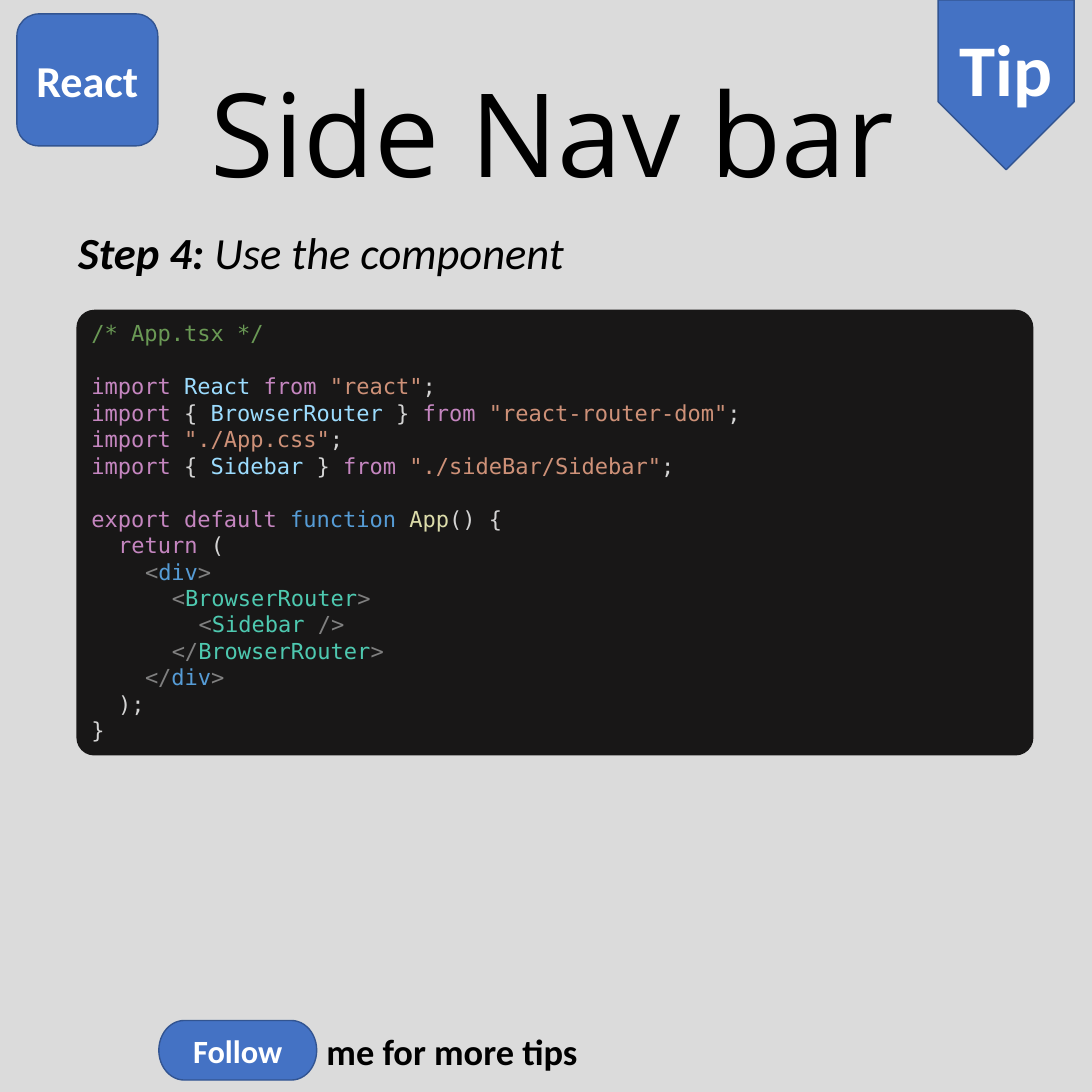
from dataclasses import dataclass
from typing import NamedTuple

from pptx import Presentation
from pptx.dml.color import RGBColor
from pptx.enum.shapes import MSO_SHAPE
from pptx.enum.text import MSO_ANCHOR, MSO_AUTO_SIZE, PP_ALIGN
from pptx.util import Emu, Pt

PX = 9144  # 100 px to the inch
SLIDE_SIDE = 1100
TITLE_ONLY = 5
LEFT, CENTER = PP_ALIGN.LEFT, PP_ALIGN.CENTER
TOP, MIDDLE = MSO_ANCHOR.TOP, MSO_ANCHOR.MIDDLE
NO_FIT = MSO_AUTO_SIZE.NONE
ROUNDED = MSO_SHAPE.ROUNDED_RECTANGLE
PENTAGON = MSO_SHAPE.PENTAGON
TERMINATOR = MSO_SHAPE.FLOWCHART_TERMINATOR

BACKGROUND = RGBColor(0xDB, 0xDB, 0xDB)
BLACK = RGBColor(0, 0, 0)
WHITE = RGBColor(0xFF, 0xFF, 0xFF)
BLUE = RGBColor(0x44, 0x72, 0xC4)
BLUE_EDGE = RGBColor(0x32, 0x54, 0x91)
PANEL = RGBColor(0x18, 0x17, 0x17)

COMMENT = RGBColor(0x6A, 0x99, 0x55)
PLAIN = RGBColor(0xD4, 0xD4, 0xD4)
KEYWORD = RGBColor(0xC5, 0x86, 0xC0)
NAME = RGBColor(0x9C, 0xDC, 0xFE)
STRING = RGBColor(0xCE, 0x91, 0x78)
STORAGE = RGBColor(0x56, 0x9C, 0xD6)
FUNCTION = RGBColor(0xDC, 0xDC, 0xAA)
BRACKET = RGBColor(0x80, 0x80, 0x80)
COMPONENT = RGBColor(0x4E, 0xC9, 0xB0)

CODE_FORMAT = {"name": "DejaVu Sans Mono", "size": Pt(16)}
CODE_LINE = Pt(19.2)
CODE_INDENT = 27


class Box(NamedTuple):
    left: int
    top: int
    width: int
    height: int

    def emu(self) -> list[Emu]:
        return [Emu(v * PX) for v in self]


@dataclass
class Badge:
    text: str
    shape: MSO_SHAPE
    box: Box
    size: float
    rotation: int = 0


class Token(NamedTuple):
    text: str
    color: RGBColor


@dataclass
class CodeLine:
    tokens: list[Token]
    level: int = 0
    gap_before: bool = False


def import_line(names: list[Token], source: str, gap_before: bool = False) -> CodeLine:
    start = [Token("import ", KEYWORD)]
    middle = names + [Token("from ", KEYWORD)] if names else []
    return CodeLine(start + middle + [Token(source, STRING), Token(";", PLAIN)],
                    gap_before=gap_before)


def braced(name: str) -> list[Token]:
    return [Token("{ ", PLAIN), Token(name, NAME), Token(" } ", PLAIN)]


def tag_line(level: int, name: str, color: RGBColor,
             start: str = "<", end: str = ">") -> CodeLine:
    return CodeLine([Token(start, BRACKET), Token(name, color), Token(end, BRACKET)], level)


BADGES = [
    Badge("Tip", PENTAGON, Box(928, 17, 171, 137), 52.8, 90),
    Badge("Follow", TERMINATOR, Box(160, 1028, 159, 60), 23.5),
    Badge("React", ROUNDED, Box(17, 14, 142, 133), 32),
]

CODE = [
    CodeLine([Token("/* App.tsx */", COMMENT)]),
    import_line([Token("React ", NAME)], '"react"', gap_before=True),
    import_line(braced("BrowserRouter"), '"react-router-dom"'),
    import_line([], '"./App.css"'),
    import_line(braced("Sidebar"), '"./sideBar/Sidebar"'),
    CodeLine([Token("export default ", KEYWORD), Token("function ", STORAGE),
              Token("App", FUNCTION), Token("() {", PLAIN)], gap_before=True),
    CodeLine([Token("return", KEYWORD), Token(" (", PLAIN)], 1),
    tag_line(2, "div", STORAGE),
    tag_line(3, "BrowserRouter", COMPONENT),
    tag_line(4, "Sidebar ", COMPONENT, end="/>"),
    tag_line(3, "BrowserRouter", COMPONENT, start="</"),
    tag_line(2, "div", STORAGE, start="</"),
    CodeLine([Token(");", PLAIN)], 1),
    CodeLine([Token("}", PLAIN)]),
]


def set_all(target, values: dict) -> None:
    for key, value in values.items():
        setattr(target, key, value)


def add_run(p, text: str, color: RGBColor, font: dict) -> None:
    r = p.add_run()
    r.text = text
    set_all(r.font, font)
    r.font.color.rgb = color


def calibri(size: float, **style: bool) -> dict:
    return {"name": "Calibri", "size": Pt(size), **style}


def add_title(slide, text: str, box: Box) -> None:
    sp = slide.shapes.title
    sp.left, sp.top, sp.width, sp.height = box.emu()
    set_all(sp.text_frame, {"auto_size": NO_FIT, "vertical_anchor": MIDDLE, "word_wrap": True})
    p = sp.text_frame.paragraphs[0]
    p.alignment = CENTER
    add_run(p, text, BLACK, {"name": "Open Sans", "size": Pt(84.3)})


def add_text(slide, box: Box, runs: list[tuple[str, dict]], wrap: bool) -> None:
    tf = slide.shapes.add_textbox(*box.emu()).text_frame
    tf.word_wrap = wrap
    for text, font in runs:
        add_run(tf.paragraphs[0], text, BLACK, font)


def add_badge(slide, badge: Badge) -> None:
    sp = slide.shapes.add_shape(badge.shape, *badge.box.emu())
    sp.shadow.inherit = False
    sp.rotation = badge.rotation
    sp.fill.solid()
    sp.fill.fore_color.rgb = BLUE
    sp.line.color.rgb = BLUE_EDGE
    sp.line.width = Pt(1)
    tf = sp.text_frame
    set_all(tf, {"vertical_anchor": MIDDLE, "word_wrap": True})
    if badge.rotation:
        tf._txBody.bodyPr.set("vert", "vert270")
    p = tf.paragraphs[0]
    p.alignment = CENTER
    add_run(p, badge.text, WHITE, calibri(badge.size, bold=True))


def add_code_panel(slide, box: Box, lines: list[CodeLine]) -> None:
    sp = slide.shapes.add_shape(ROUNDED, *box.emu())
    sp.adjustments[0] = 0.04
    sp.shadow.inherit = False
    sp.fill.solid()
    sp.fill.fore_color.rgb = PANEL
    sp.line.fill.background()
    tf = sp.text_frame
    set_all(tf, {"vertical_anchor": TOP, "word_wrap": True})
    for i, line in enumerate(lines):
        p = tf.add_paragraph() if i else tf.paragraphs[0]
        set_all(p, {"alignment": LEFT, "line_spacing": CODE_LINE,
                    "space_before": CODE_LINE if line.gap_before else Pt(0)})
        p._p.get_or_add_pPr().set("marL", str(line.level * CODE_INDENT * PX))
        for token in line.tokens:
            add_run(p, token.text, token.color, CODE_FORMAT)


def main() -> None:
    prs = Presentation()
    prs.slide_width = prs.slide_height = Emu(SLIDE_SIDE * PX)
    slide = prs.slides.add_slide(prs.slide_layouts[TITLE_ONLY])
    slide.background.fill.solid()
    slide.background.fill.fore_color.rgb = BACKGROUND

    add_title(slide, "Side Nav bar", Box(173, 56, 768, 152))
    add_text(slide, Box(69, 222, 944, 64), [
        ("Step 4: ", calibri(32.3, bold=True, italic=True)),
        ("Use the component", calibri(32.3, italic=True)),
    ], wrap=True)
    for badge in BADGES:
        add_badge(slide, badge)
    add_text(slide, Box(319, 1032, 276, 55),
             [("me for more tips", calibri(26.4, bold=True))], wrap=False)
    add_code_panel(slide, Box(77, 312, 964, 449), CODE)
    prs.save("out.pptx")


if __name__ == "__main__":
    main()
